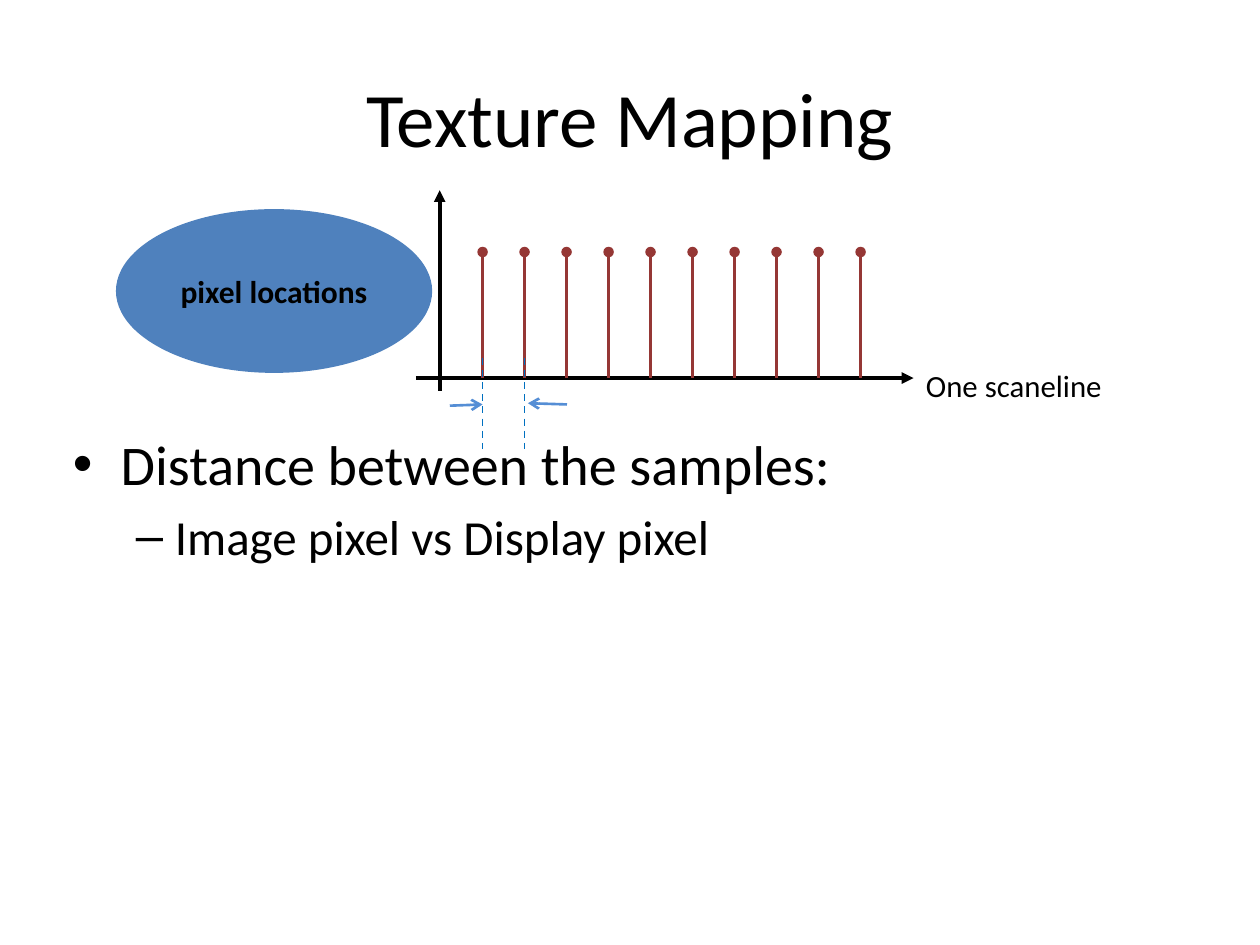
from lxml import etree
from pptx import Presentation
from pptx.dml.color import RGBColor
from pptx.enum.dml import MSO_LINE
from pptx.enum.shapes import MSO_CONNECTOR, MSO_SHAPE
from pptx.enum.text import MSO_ANCHOR, PP_ALIGN
from pptx.oxml.ns import qn
from pptx.util import Inches, Pt

STRAIGHT = MSO_CONNECTOR.STRAIGHT
OVAL = MSO_SHAPE.OVAL
DASH = MSO_LINE.DASH
MIDDLE = MSO_ANCHOR.MIDDLE
CENTER = PP_ALIGN.CENTER

BLACK = RGBColor(0x00, 0x00, 0x00)
BLUE = RGBColor(0x4F, 0x81, 0xBD)
RED = RGBColor(0x95, 0x37, 0x35)
GUIDE = RGBColor(0x00, 0x70, 0xC0)
ARROW = RGBColor(0x55, 0x8E, 0xD5)

# Sample grid: one column per pixel along the scanline, in inches
LEFT, STEP, COUNT = 3.83, 1 / 3, 10
TOP, BASE = 2, 3

prs = Presentation()
prs.slide_width, prs.slide_height = Inches(10), Inches(7.5)
slide = prs.slides.add_slide(prs.slide_layouts[5])
shapes = slide.shapes


def add_line(x1, y1, x2, y2, color, width, end=None, kind=None):
    """Draw a line; end is headEnd (start point) or tailEnd (finish point)."""
    line = shapes.add_connector(
        STRAIGHT, Inches(x1), Inches(y1), Inches(x2), Inches(y2))
    line.line.color.rgb = color
    line.line.width = Pt(width)
    if end:
        ln = line.line._get_or_add_ln()
        etree.SubElement(ln, qn("a:" + end), type=kind)
    etree.SubElement(line._element.spPr, qn("a:effectLst"))
    return line


def add_run(para, text, size, bold=False):
    run = para.add_run()
    run.text = text
    font = run.font
    font.name, font.size, font.bold = "Calibri", Pt(size), bold
    font.color.rgb = BLACK


# Title
title = shapes.title
title.left, title.top = Inches(0.5), Inches(0.3)
title.width, title.height = Inches(9), Inches(1.25)
title.text_frame.vertical_anchor = MIDDLE
para = title.text_frame.paragraphs[0]
para.alignment = CENTER
add_run(para, "Texture Mapping", 44)

# Bullets: text, size, level, indent, hang, mark
body = shapes.add_textbox(Inches(0.48), Inches(3.36), Inches(9), Inches(3.74))
frame = body.text_frame
frame.word_wrap = True
items = [
    ("Distance between the samples:", 32, 0, 0.38, 0.38, "•"),
    ("Image pixel vs Display pixel", 28, 1, 0.81, 0.31, "–"),
]
for i, (text, size, level, indent, hang, mark) in enumerate(items):
    para = frame.add_paragraph() if i else frame.paragraphs[0]
    para.level = level
    para.space_before = Pt(0.2 * size)
    add_run(para, text, size)
    props = para._p.get_or_add_pPr()
    props.set("marL", str(Inches(indent)))
    props.set("indent", str(-Inches(hang)))
    etree.SubElement(props, qn("a:buFont"), typeface="Arial")
    etree.SubElement(props, qn("a:buChar"), char=mark)

# Axes
add_line(3.49, 3.1, 3.49, 1.51, BLACK, 2.25, "tailEnd", "triangle")
add_line(3.3, BASE, 7.25, BASE, BLACK, 2.25, "tailEnd", "triangle")

# Pixel label
oval = shapes.add_shape(
    OVAL, Inches(0.92), Inches(1.66), Inches(2.51), Inches(1.3))
oval.shadow.inherit = False
oval.fill.solid()
oval.fill.fore_color.rgb = BLUE
oval.line.fill.background()
oval.text_frame.vertical_anchor = MIDDLE
para = oval.text_frame.paragraphs[0]
para.alignment = CENTER
add_run(para, "pixel locations", 18, True)

# Samples
for i in range(COUNT):
    x = LEFT + i * STEP
    add_line(x, TOP, x, BASE, RED, 2, "headEnd", "oval")

# Axis label
label = shapes.add_textbox(Inches(7.25), Inches(2.86), Inches(1.7), Inches(0.48))
label.text_frame.word_wrap = True
add_run(label.text_frame.paragraphs[0], "One scaneline", 17.6)

# Distance between the first two samples
for i in range(2):
    x = LEFT + i * STEP
    guide = add_line(x, 2.84, x, 3.56, GUIDE, 1)
    guide.line.dash_style = DASH
add_line(4.19, 3.2, 4.5, 3.21, ARROW, 1.5, "headEnd", "arrow")
add_line(LEFT, 3.21, 3.57, 3.22, ARROW, 1.5, "headEnd", "arrow")

prs.save("out.pptx")
